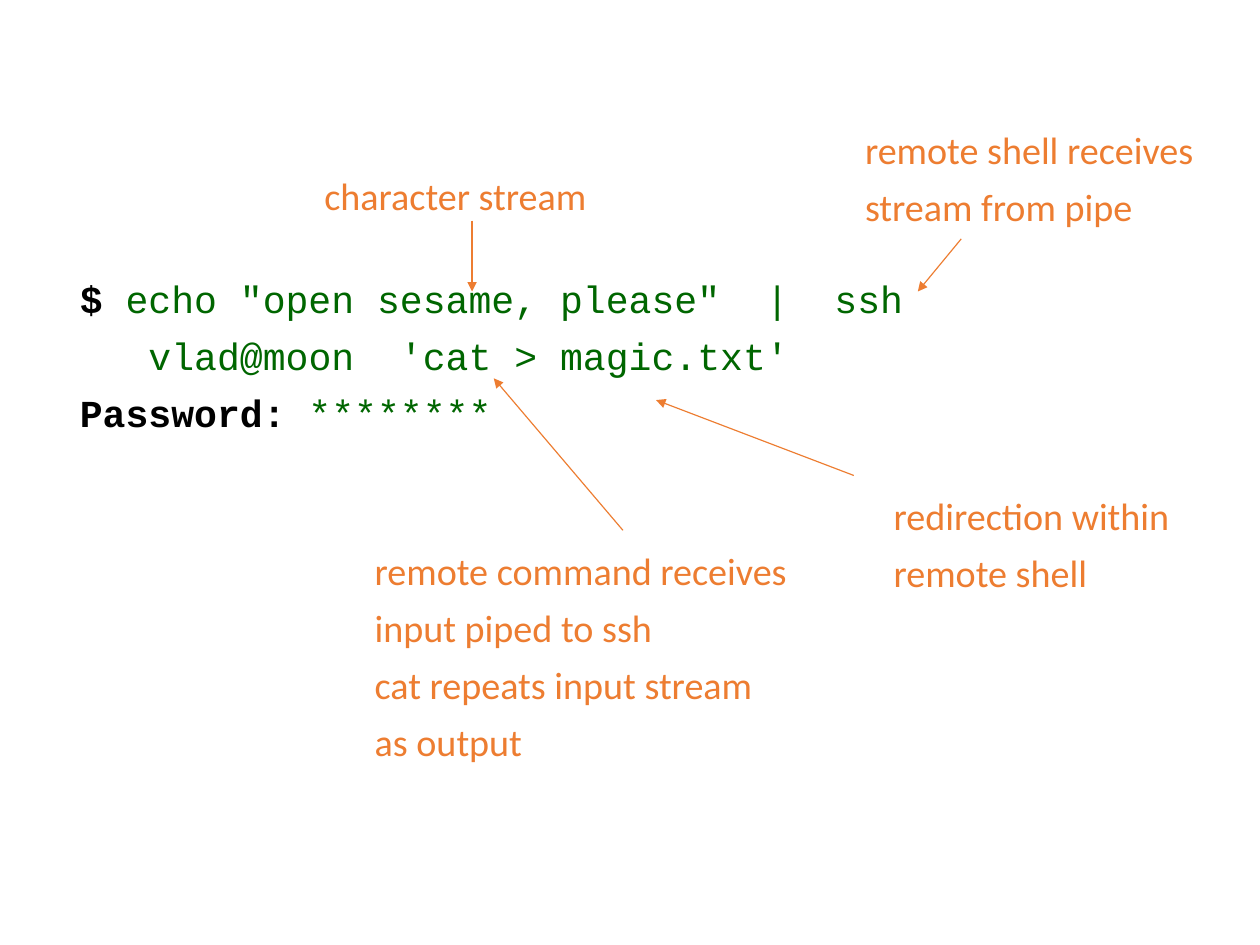
from lxml import etree
from pptx import Presentation
from pptx.dml.color import RGBColor
from pptx.enum.shapes import MSO_CONNECTOR
from pptx.oxml.ns import qn
from pptx.util import Inches, Pt

STRAIGHT = MSO_CONNECTOR.STRAIGHT
CM_PER_INCH = 2.54
COLORS = {"note": "ED7D31", "prompt": "000000", "command": "006600"}


class Deck:
    size = Pt(24)
    pitch = Pt(36)
    note_font = "Calibri"
    code_font = "Courier New"

    def __init__(self, width, height):
        self.prs = Presentation()
        self.prs.slide_width = Inches(width)
        self.prs.slide_height = Inches(height)
        self.s = self.prs.slides.add_slide(self.prs.slide_layouts[6])

    def text(self, left, top, width, lines, font):
        height = 0.1 + 0.5 * len(lines)
        sp = self.s.shapes.add_textbox(
            Inches(left), Inches(top), Inches(width), Inches(height))
        tf = sp.text_frame
        tf.word_wrap = True
        for i, line in enumerate(lines):
            p = tf.add_paragraph() if i else tf.paragraphs[0]
            p.line_spacing = self.pitch
            for words, color in line:
                r = p.add_run()
                r.text = words
                r.font.name = font
                r.font.size = self.size
                r.font.bold = color == "prompt"
                r.font.color.rgb = RGBColor.from_string(COLORS[color])

    def note(self, left, top, width, *lines):
        self.text(left, top, width, [[(line, "note")] for line in lines],
                  self.note_font)

    def code(self, left, top, width, *lines):
        self.text(left, top, width, lines, self.code_font)

    def arrow(self, x1, y1, x2, y2):
        c = self.s.shapes.add_connector(
            STRAIGHT, Inches(x1), Inches(y1), Inches(x2), Inches(y2))
        c.line.color.rgb = RGBColor.from_string(COLORS["note"])
        c.line.width = Pt(0.75)
        etree.SubElement(c.line._get_or_add_ln(), qn("a:tailEnd"), type="triangle")
        etree.SubElement(c._element.spPr, qn("a:effectLst"))


def main():
    deck = Deck(28 / CM_PER_INCH, 21 / CM_PER_INCH)
    deck.code(
        0.6, 2.26, 9.48,
        [("$ ", "prompt"), ('echo "open sesame, please"  |  ssh', "command")],
        [("   vlad@moon  'cat > magic.txt'", "command")],
        [("Password: ", "prompt"), ("********", "command")])

    deck.note(2.74, 1.36, 2.6, "character stream")
    deck.arrow(4.13, 1.93, 4.13, 2.55)

    deck.note(7.47, 0.96, 3.3, "remote shell receives", "stream from pipe")
    deck.arrow(8.41, 2.09, 8.03, 2.55)

    deck.note(3.18, 4.64, 4, "remote command receives", "input piped to ssh",
              "cat repeats input stream", "as output")
    deck.arrow(5.45, 4.64, 4.32, 3.31)

    deck.note(7.72, 4.16, 2.8, "redirection within", "remote shell")
    deck.arrow(7.47, 4.16, 5.74, 3.5)

    deck.prs.save("out.pptx")


if __name__ == "__main__":
    main()
